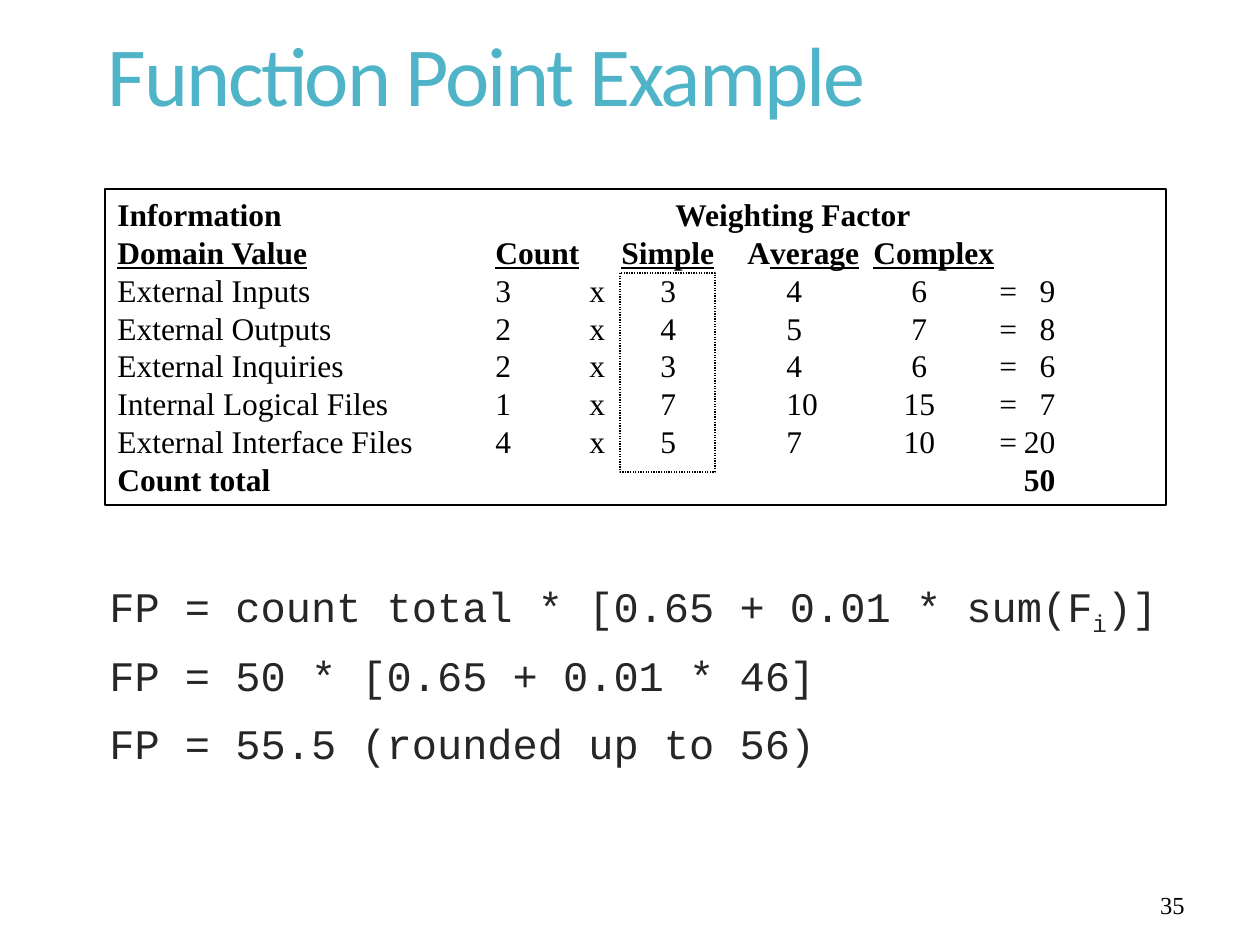
from dataclasses import dataclass

import pptx
import pptx.dml.color
import pptx.enum.dml
import pptx.enum.shapes
import pptx.enum.text
import pptx.oxml.ns
import pptx.util
from lxml import etree

SCALE = 914400 / 126  # EMU per px
ALIGN = pptx.enum.text.PP_ALIGN
ANCHOR = pptx.enum.text.MSO_ANCHOR


@dataclass(frozen=True)
class Style:
    font: str
    size: int
    color: str


@dataclass(frozen=True)
class Theme:
    title: Style = Style("Calibri", 48, "50B4C8")
    formula: Style = Style("Courier New", 24, "262626")
    table: Style = Style("Times New Roman", 18, "000000")
    number: Style = Style("Times New Roman", 14, "000000")
    line: str = "000000"


@dataclass(frozen=True)
class Box:
    x: int
    y: int
    w: int
    h: int


@dataclass(frozen=True)
class Tab:
    x: int
    align: str = "l"


@dataclass(frozen=True)
class Run:
    text: str
    bold: bool = False
    underline: bool = False
    baseline: int = 0


@dataclass(frozen=True)
class Factor:
    domain: str
    count: int
    simple: int
    average: int
    complex: int

    def runs(self) -> list[Run]:
        weights = f"{self.simple}\t{self.average}\t{self.complex}"
        product = self.count * self.simple
        return [Run(f"{self.domain}\t{self.count}\tx\t{weights}\t=\t{product}")]


THEME = Theme()
FACTORS = [
    Factor("External Inputs", 3, 3, 4, 6),
    Factor("External Outputs", 2, 4, 5, 7),
    Factor("External Inquiries", 2, 3, 4, 6),
    Factor("Internal Logical Files", 1, 7, 10, 15),
    Factor("External Interface Files", 4, 5, 7, 10),
]
TOP_TABS = [Tab(558)]
HEAD_TABS = [Tab(378), Tab(504), Tab(630), Tab(756)]
FACTOR_TABS = [Tab(378), Tab(472), Tab(543), Tab(669), Tab(802, "ctr"),
               Tab(882), Tab(938, "r")]
TOTAL_TABS = [Tab(938, "r")]
FORMULAS = [
    [Run("FP = count total * [0.65 + 0.01 * sum(F"), Run("i", baseline=-25000),
     Run(")]")],
    [Run("FP = 50 * [0.65 + 0.01 * 46]")],
    [Run("FP = 55.5 (rounded up to 56)")],
]


def px(n: int) -> int:
    return round(n * SCALE)


def rgb(color: str) -> pptx.dml.color.RGBColor:
    return pptx.dml.color.RGBColor.from_string(color)


def place(sp, box: Box) -> None:
    sp.left, sp.top, sp.width, sp.height = map(px, (box.x, box.y, box.w, box.h))


def add_runs(p, runs: list[Run], style: Style) -> None:
    for run in runs:
        r = p.add_run()
        r.text = run.text
        r.font.name = style.font
        r.font.size = pptx.util.Pt(style.size)
        r.font.color.rgb = rgb(style.color)
        r.font.bold = run.bold
        r.font.underline = run.underline
        if run.baseline:
            r.font._element.set("baseline", str(run.baseline))


def set_tabs(p, tabs: list[Tab]) -> None:
    qn = pptx.oxml.ns.qn
    tab_list = etree.SubElement(p._p.get_or_add_pPr(), qn("a:tabLst"))
    for tab in tabs:
        etree.SubElement(tab_list, qn("a:tab"), pos=str(px(tab.x)), algn=tab.align)


def add_paragraph(tf, first: bool):
    return tf.paragraphs[0] if first else tf.add_paragraph()


def add_title(s, box: Box, text: str) -> None:
    sp = s.shapes.title
    place(sp, box)
    tf = sp.text_frame
    tf.vertical_anchor = ANCHOR.MIDDLE
    p = tf.paragraphs[0]
    p.alignment = ALIGN.LEFT
    p.line_spacing = 0.9
    add_runs(p, [Run(text)], THEME.title)
    p.runs[0].font._element.set("spc", "-120")


def add_textbox(s, box: Box):
    sp = s.shapes.add_textbox(0, 0, 0, 0)
    place(sp, box)
    sp.text_frame.word_wrap = True
    return sp.text_frame


def add_frame(s, box: Box, dash=None):
    """Add an unfilled, thinly outlined rectangle."""
    sp = s.shapes.add_shape(pptx.enum.shapes.MSO_SHAPE.RECTANGLE, 0, 0, 0, 0)
    place(sp, box)
    sp.shadow.inherit = False
    sp.fill.background()
    sp.line.color.rgb = rgb(THEME.line)
    sp.line.width = pptx.util.Pt(0.75)
    if dash is not None:
        sp.line.dash_style = dash
    return sp


def add_formulas(s, box: Box) -> None:
    tf = add_textbox(s, box)
    for i, runs in enumerate(FORMULAS):
        p = add_paragraph(tf, i == 0)
        p._p.get_or_add_pPr().set("marL", str(px(13)))
        p.line_spacing = 0.85
        p.space_before = pptx.util.Pt(14.5 if i else 0)
        add_runs(p, runs, THEME.formula)


def add_factor_list(s, box: Box) -> None:
    heading = [
        Run("Domain Value", True, True), Run("\t", True),
        Run("Count", True, True), Run("\t", True),
        Run("Simple", True, True), Run("\tA", True),
        Run("verage", True, True), Run("\t", True),
        Run("Complex", True, True),
    ]
    total = sum(f.count * f.simple for f in FACTORS)
    lines = [
        (TOP_TABS, [Run("Information\tWeighting Factor", True)]),
        (HEAD_TABS, heading),
        *((FACTOR_TABS, f.runs()) for f in FACTORS),
        (TOTAL_TABS, [Run(f"Count total\t{total}", True)]),
    ]
    tf = add_frame(s, box).text_frame
    tf.word_wrap = True
    tf.vertical_anchor = ANCHOR.TOP
    for i, (tabs, runs) in enumerate(lines):
        p = add_paragraph(tf, i == 0)
        p.alignment = ALIGN.LEFT
        set_tabs(p, tabs)
        add_runs(p, runs, THEME.table)


def add_number(s, box: Box, text: str) -> None:
    tf = add_textbox(s, box)
    tf.vertical_anchor = ANCHOR.BOTTOM
    p = tf.paragraphs[0]
    p.alignment = ALIGN.RIGHT
    add_runs(p, [Run(text)], THEME.number)


def main() -> None:
    prs = pptx.Presentation()
    prs.slide_width, prs.slide_height = px(1260), px(945)
    s = prs.slides.add_slide(prs.slide_layouts[5])
    add_title(s, Box(95, 0, 1071, 158), "Function Point Example")
    add_formulas(s, Box(84, 577, 1124, 231))
    add_number(s, Box(903, 876, 294, 50), "35")
    add_frame(s, Box(620, 273, 95, 199), pptx.enum.dml.MSO_LINE.ROUND_DOT)
    add_factor_list(s, Box(105, 189, 1061, 316))
    prs.save("out.pptx")


if __name__ == "__main__":
    main()
